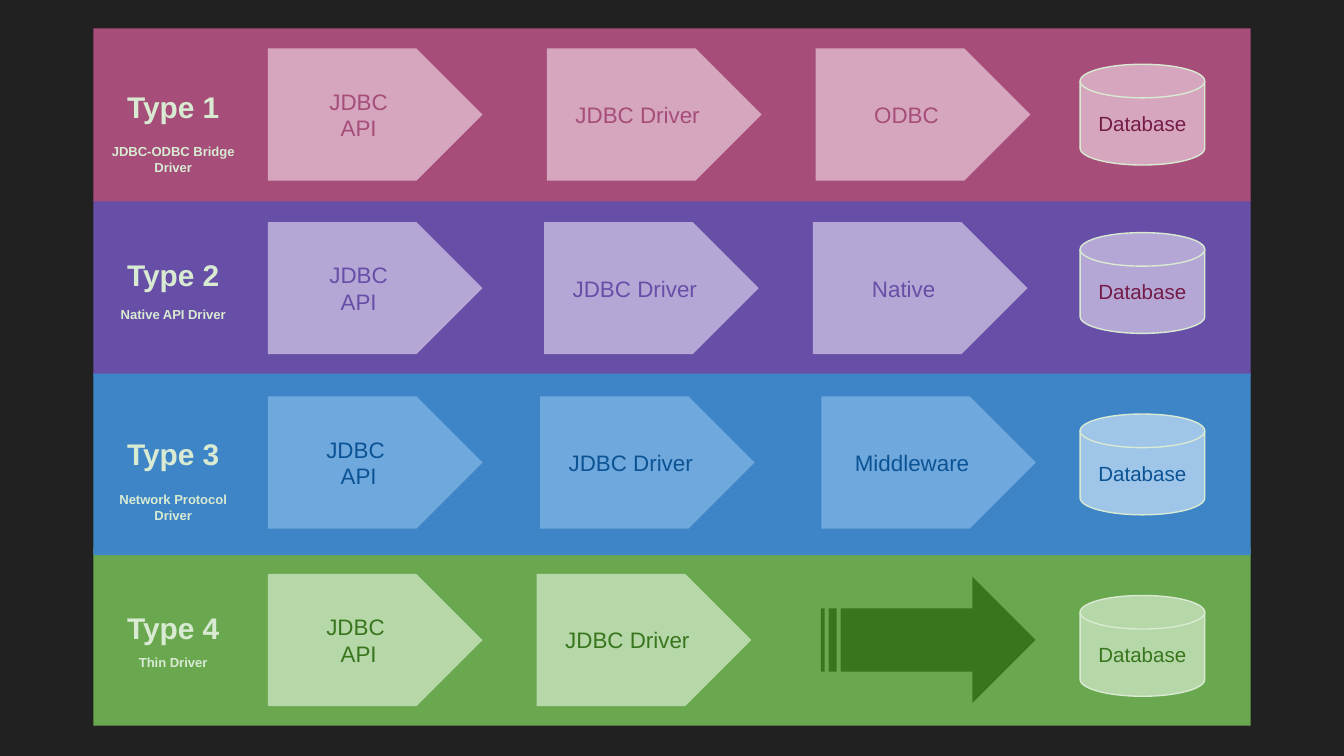
"""Build a slide comparing the four JDBC driver types."""
from pptx import Presentation
from pptx import util as u
from pptx.dml.color import RGBColor
from pptx.enum import shapes, text

SHAPE = shapes.MSO_SHAPE
PALE = "D9EAD3"


def add_block(s, kind, box, fill, line=None):
    sp = s.shapes.add_shape(kind, *[u.Pt(v) for v in box])
    sp.shadow.inherit = False
    sp.fill.solid()
    sp.fill.fore_color.rgb = RGBColor.from_string(fill)
    if line:
        sp.line.color.rgb = RGBColor.from_string(line)
        sp.line.width = u.Pt(0.75)
    else:
        sp.line.fill.background()
    return sp


def add_text(sp, lines, size, color, bold=False, anchor=text.MSO_ANCHOR.MIDDLE):
    tf = sp.text_frame
    tf.word_wrap = True
    tf.vertical_anchor = anchor
    tf.margin_left = tf.margin_right = tf.margin_top = tf.margin_bottom = u.Pt(7.2)
    for i, line in enumerate(lines):
        p = tf.add_paragraph() if i else tf.paragraphs[0]
        p.alignment = text.PP_ALIGN.CENTER
        r = p.add_run()
        r.text = line
        r.font.name = "Arial"
        r.font.size = u.Pt(size)
        r.font.bold = bold
        r.font.color.rgb = RGBColor.from_string(color)


prs = Presentation()
prs.slide_width, prs.slide_height = u.Pt(720), u.Pt(405)
s = prs.slides.add_slide(prs.slide_layouts[6])
s.background.fill.solid()
s.background.fill.fore_color.rgb = RGBColor.from_string("212121")

bands = [
    (106.6, 95.8, "674EA7"),
    (293, 95.8, "6AA84F"),
    (200.2, 97.2, "3D85C6"),
    (15.2, 92.8, "A64D79"),
]
for top, height, color in bands:
    add_block(s, SHAPE.RECTANGLE, (50, top, 620, height), color)

# fmt: off
rows = [
    dict(name="JDBC-ODBC Bridge Driver", tops=(40.2, 69.8, 26, 34.4),
         step=("D5A6BD", "A64D79"), disk=("D5A6BD", "741B47"),
         steps=[(143.5, ["JDBC", "API"]), (293, ["JDBC Driver"]), (437, ["ODBC"])]),
    dict(name="Native API Driver", tops=(130.3, 159.8, 119, 124.6),
         step=("B4A7D6", "674EA7"), disk=("B4A7D6", "741B47"),
         steps=[(143.5, ["JDBC", "API"]), (291.5, ["JDBC Driver"]), (435.5, ["Native"])]),
    dict(name="Network Protocol Driver", tops=(226.1, 256, 212.4, 221.8),
         step=("6FA8DC", "0B5394"), disk=("9FC5E8", "0B5394"),
         steps=[(143.5, ["JDBC ", "API"]), (289.3, ["JDBC Driver"]), (440, ["Middleware"])]),
    dict(name="Thin Driver", tops=(319.6, 346.2, 307.5, 319),
         step=("B6D7A8", "38761D"), disk=("B6D7A8", "38761D"),
         steps=[(143.5, ["JDBC ", "API"]), (287.5, ["JDBC Driver"])]),
]
# fmt: on
for number, row in enumerate(rows, 1):
    title_top, name_top, step_top, disk_top = row["tops"]
    labels = [(title_top, 43.2, f"Type {number}", 16), (name_top, 18, row["name"], 7)]
    for top, height, label, size in labels:
        sp = s.shapes.add_textbox(u.Pt(50), u.Pt(top), u.Pt(85.6), u.Pt(height))
        add_text(sp, [label], size, PALE, True, text.MSO_ANCHOR.TOP)

    fill, color = row["step"]
    for left, lines in row["steps"]:
        sp = add_block(s, SHAPE.PENTAGON, (left, step_top, 115, 70.8), fill)
        add_text(sp, lines, 12, color)

    fill, color = row["disk"]
    sp = add_block(s, SHAPE.FLOWCHART_MAGNETIC_DISK, (578.6, disk_top, 66.8, 54), fill, PALE)
    add_text(sp, ["Database"], 11, color)

add_block(s, SHAPE.STRIPED_RIGHT_ARROW, (439.7, 309, 115, 67.7), "38761D")

prs.save("out.pptx")
